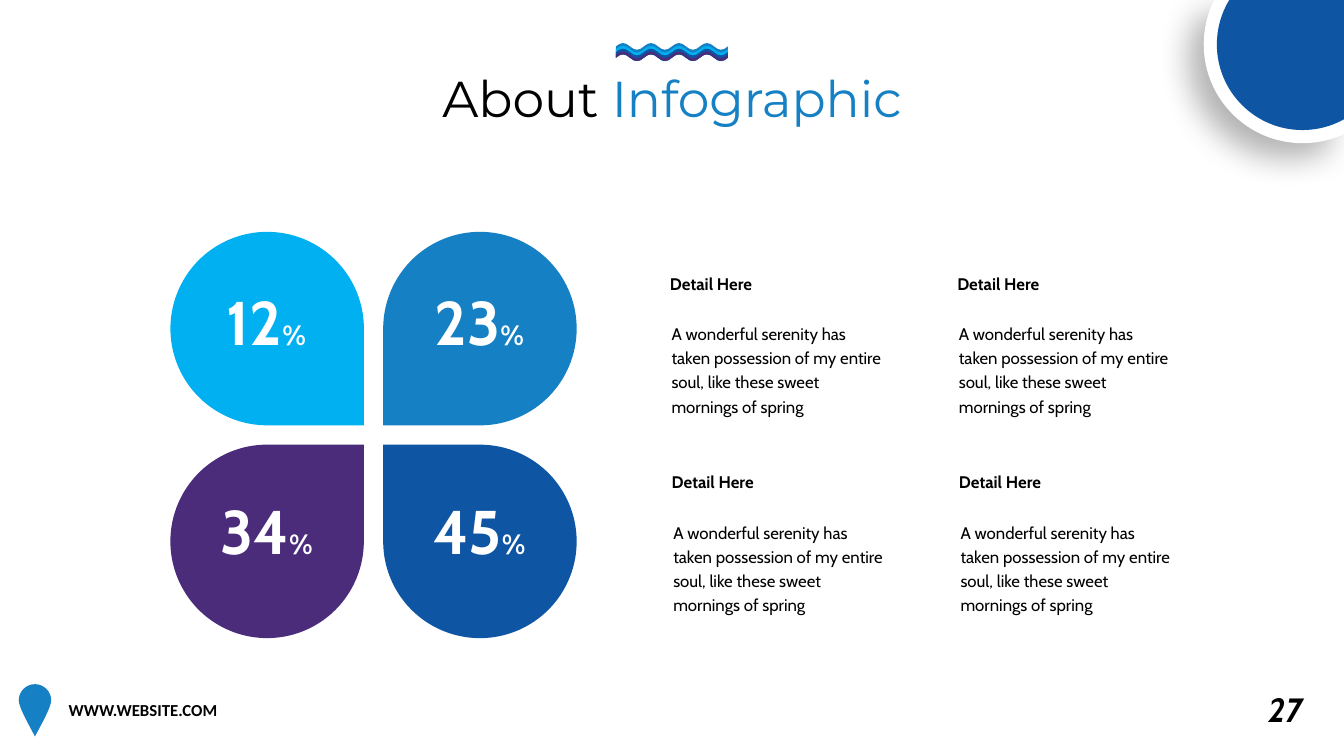
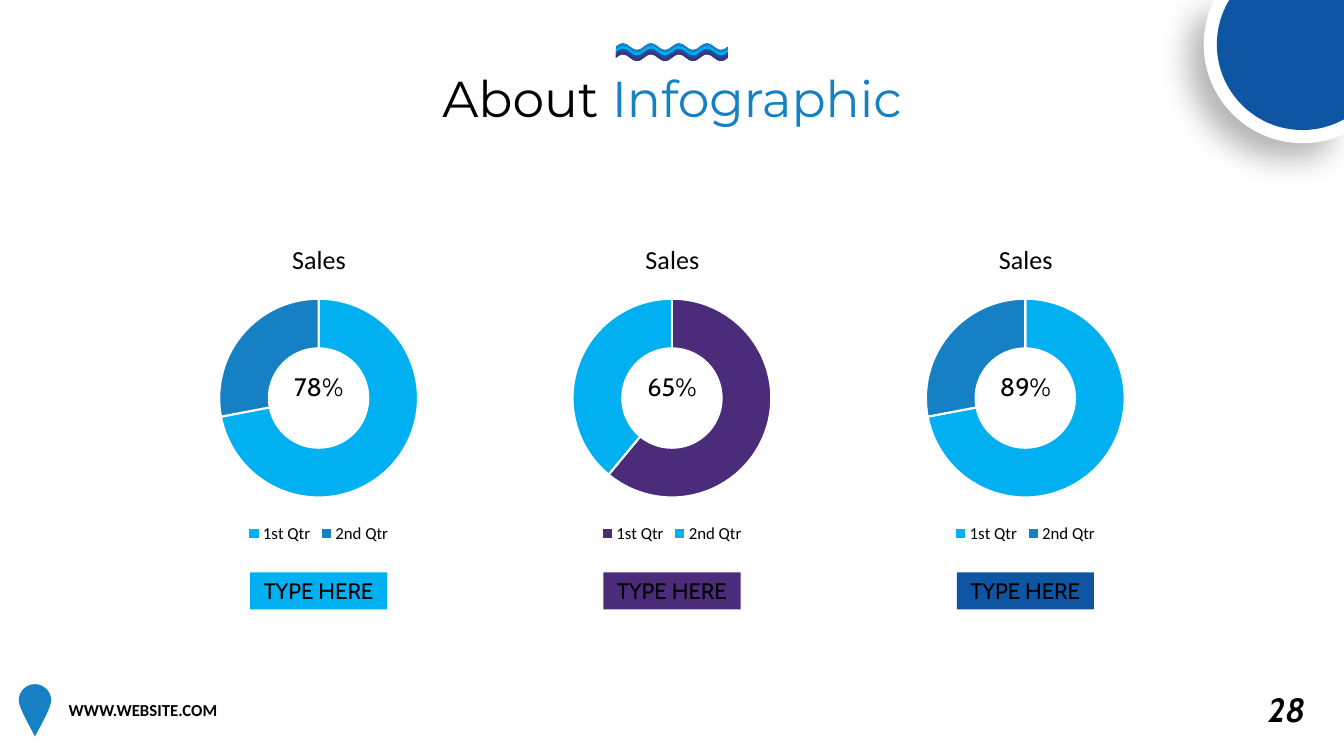
from dataclasses import dataclass
from math import acos, asin, cos, pi, sin, tan

from lxml.etree import SubElement
from pptx import Presentation
from pptx.chart.data import CategoryChartData
from pptx.dml.color import RGBColor
from pptx.enum.chart import XL_CHART_TYPE, XL_LEGEND_POSITION
from pptx.enum.shapes import MSO_SHAPE
from pptx.enum.text import MSO_ANCHOR, PP_ALIGN
from pptx.oxml import parse_xml
from pptx.oxml.ns import nsdecls, qn
from pptx.util import Pt


@dataclass(frozen=True)
class Theme:
    black: RGBColor = RGBColor.from_string("000000")
    white: RGBColor = RGBColor.from_string("FFFFFF")
    blue: RGBColor = RGBColor.from_string("1580C4")
    sky: RGBColor = RGBColor.from_string("00B0F0")
    navy: RGBColor = RGBColor.from_string("0E55A3")
    purple: RGBColor = RGBColor.from_string("4A2C7B")
    title_font: str = "Montserrat"
    body_font: str = "Cabin"
    plain_font: str = "Calibri"
    title_size: float = 36
    figure_size: float = 44
    percent_size: float = 20
    number_size: float = 24
    chart_title_size: float = 18.6
    share_size: float = 18
    label_size: float = 16
    body_size: float = 12
    chart_size: float = 10


THEME = Theme()
WIDTH, HEIGHT = 960, 540


def write(shape, text, size=THEME.body_size, color=THEME.black, font=THEME.body_font,
          bold=False, italic=False, align=PP_ALIGN.LEFT, anchor=MSO_ANCHOR.TOP,
          spacing=1.0, wrap=True):
    """Fill a shape with one paragraph; text is a string or (text, size, color) runs."""
    frame = shape.text_frame
    frame.word_wrap = wrap
    frame.vertical_anchor = anchor
    paragraph = frame.paragraphs[0]
    paragraph.alignment = align
    paragraph.line_spacing = spacing
    runs = [(text, size, color)] if isinstance(text, str) else text
    for run_text, run_size, run_color in runs:
        run = paragraph.add_run()
        run.text = run_text
        run.font.name = font
        run.font.size = Pt(run_size)
        run.font.color.rgb = run_color
        run.font.bold = bold
        run.font.italic = italic


def draw_outline(slide, start, segments, color):
    """Draw a filled outline; a segment has one point (line) or three (curve)."""
    builder = slide.shapes.build_freeform(Pt(start[0]), Pt(start[1]))
    builder.add_line_segments(
        [(Pt(x), Pt(y)) for segment in segments for x, y in segment], close=True)
    shape = builder.convert_to_shape()
    lines = iter(list(shape._element.iter(qn("a:lnTo"))))
    for segment in segments:
        first, *others = [next(lines) for point in segment]
        if others:
            first.tag = qn("a:cubicBezTo")
            for line in others:
                first.append(line[0])
                line.getparent().remove(line)
    shape.shadow.inherit = False
    shape.fill.solid()
    shape.fill.fore_color.rgb = color
    shape.line.fill.background()
    return shape


presentation = Presentation()
presentation.slide_width, presentation.slide_height = Pt(WIDTH), Pt(HEIGHT)

# Pin: round head and pointed foot, mirrored at its axis
PIN_AXIS, PIN_TOP = 25, 488.7
PIN_HALF = [(0, 0), (6.4, 0), (11.6, 5.2), (11.6, 11.6), (11.6, 17), (2.1, 33), (0, 37.4)]
right = [(PIN_AXIS + x, PIN_TOP + y) for x, y in PIN_HALF]
left = [(PIN_AXIS - x, PIN_TOP + y) for x, y in PIN_HALF[::-1]]
pin = [right[1:4], right[4:7], left[1:4], left[4:7]]

# Wave: four stacked bands that share one lower edge, one curve per half period
WAVE_LEFT, WAVE_TOP, WAVE_STEP, HALF_PERIOD, SWING = 440, 33.2, 2, 10, 3.2
wave_colors = (THEME.blue, THEME.sky, THEME.navy, THEME.purple)
wave_bottom = WAVE_TOP + len(wave_colors) * WAVE_STEP
waves = []
for band, color in enumerate(wave_colors):
    top = WAVE_TOP + band * WAVE_STEP
    upper, lower = [], []
    for half in range(8):
        x = WAVE_LEFT + half * HALF_PERIOD
        swing = SWING if half % 2 else -SWING
        x1, x2, x3 = x + 3.6, x + 6.4, x + HALF_PERIOD
        upper.append([(x1, top + swing), (x2, top + swing), (x3, top)])
        lower.insert(0, [(x2, wave_bottom + swing), (x1, wave_bottom + swing),
                         (x, wave_bottom)])
    waves.append(((WAVE_LEFT, top), upper + [[(x3, wave_bottom)]] + lower, color))

# Corner disc: arcs from the right slide edge round to the top one
DISC_X, DISC_Y = 930.4, 31.7
discs = []
for radius, color in ((70.6, THEME.white), (61.2, THEME.navy)):
    angles = [acos((WIDTH - DISC_X) / radius), pi / 2, pi, pi + asin(DISC_Y / radius)]
    arcs = []
    for begin, end in zip(angles, angles[1:]):
        reach = 4 / 3 * tan((end - begin) / 4)
        units = [(cos(begin) - reach * sin(begin), sin(begin) + reach * cos(begin)),
                 (cos(end) + reach * sin(end), sin(end) - reach * cos(end)),
                 (cos(end), sin(end))]
        arcs.append([(DISC_X + radius * x, DISC_Y + radius * y) for x, y in units])
    edge_y = DISC_Y + radius * sin(angles[0])
    discs.append(((WIDTH, 0), [[(WIDTH, edge_y)]] + arcs, color))

# Parts that both slides share
slides = []
for number in (27, 28):
    slide = presentation.slides.add_slide(presentation.slide_layouts[5])
    slides.append(slide)

    # Footer
    page = slide.shapes.add_textbox(Pt(898.8), Pt(488.9), Pt(42.5), Pt(36))
    write(page, str(number), size=THEME.number_size, bold=True, italic=True, wrap=False)
    draw_outline(slide, right[0], pin, THEME.blue)
    website = slide.shapes.add_textbox(Pt(42), Pt(496.4), Pt(182), Pt(21.8))
    write(website, "WWW.WEBSITE.COM", font=THEME.plain_font, bold=True)

    # Corner disc with a shadow below its white rim
    rim, core = [draw_outline(slide, *disc) for disc in discs]
    rim._element.spPr.find(qn("a:effectLst")).append(parse_xml(
        f'<a:outerShdw {nsdecls("a")} blurRad="{Pt(23)}" dist="{Pt(15)}" '
        'dir="8100000" algn="tr" rotWithShape="0"><a:srgbClr val="000000">'
        '<a:alpha val="29000"/></a:srgbClr></a:outerShdw>'))

    # Title
    title = slide.shapes.title
    title.left, title.top, title.width, title.height = Pt(295), Pt(44.6), Pt(370), Pt(51)
    write(title, [("About ", THEME.title_size, THEME.black),
                  ("Infographic", THEME.title_size, THEME.blue)],
          font=THEME.title_font, align=PP_ALIGN.CENTER, wrap=False)
    for wave in waves:
        draw_outline(slide, *wave)

petal_slide, chart_slide = slides

# Petals with percentages
PETAL_SIZE, PETAL_PITCH = 138.2, 152
petals = [("12", THEME.sky, 90), ("23", THEME.blue, 180),
          ("34", THEME.purple, 0), ("45", THEME.navy, 270)]
for index, (figure, color, rotation) in enumerate(petals):
    row, column = divmod(index, 2)
    left = 121.7 + column * PETAL_PITCH
    petal = petal_slide.shapes.add_shape(
        MSO_SHAPE.TEAR, Pt(left), Pt(165.6 + row * PETAL_PITCH),
        Pt(PETAL_SIZE), Pt(PETAL_SIZE))
    petal.rotation = rotation
    petal.shadow.inherit = False
    petal.fill.solid()
    petal.fill.fore_color.rgb = color
    petal.line.fill.background()
    caption = petal_slide.shapes.add_textbox(
        Pt(left + 0.6), Pt(199.4 + row * 149), Pt(136.1), Pt(60.5))
    write(caption, [(figure, THEME.figure_size, THEME.white),
                    ("%", THEME.percent_size, THEME.white)],
          bold=True, align=PP_ALIGN.CENTER)

# Details in a two by two grid; each text is set in slightly from its heading
DETAIL = ("A wonderful serenity has taken possession of my entire soul, "
          "like these sweet mornings of spring")
for column in range(2):
    for row in range(2):
        left, top = 471.5 + column * 205.2 + row * 1.2, 187.5 + row * 141.8
        detail = petal_slide.shapes.add_textbox(
            Pt(left + 1.1), Pt(top + 37.4), Pt(165), Pt(75.6))
        write(detail, DETAIL, spacing=1.2)
        heading = petal_slide.shapes.add_textbox(Pt(left), Pt(top), Pt(165), Pt(24.5))
        write(heading, "Detail Here", bold=True, spacing=1.3)

# Doughnut charts with a share and a label each
CHART_WIDTH, CHART_HEIGHT, CHART_PITCH = 242.6, 230.4, 252.4
doughnuts = [((72, 28), (THEME.sky, THEME.blue), "78%", THEME.sky),
             ((61, 39), (THEME.purple, THEME.sky), "65%", THEME.purple),
             ((72, 28), (THEME.sky, THEME.blue), "89%", THEME.navy)]
for index, (values, slice_colors, share, label_color) in enumerate(doughnuts):
    center = WIDTH / 2 + (index - 1) * CHART_PITCH
    data = CategoryChartData()
    data.categories = ["1st Qtr", "2nd Qtr"]
    data.add_series("Series 1", values)
    chart = chart_slide.shapes.add_chart(
        XL_CHART_TYPE.DOUGHNUT, Pt(center - CHART_WIDTH / 2), Pt(160.6),
        Pt(CHART_WIDTH), Pt(CHART_HEIGHT), data).chart
    chart.font.name = THEME.plain_font
    chart.font.size = Pt(THEME.chart_size)
    chart.font.color.rgb = THEME.black
    chart.has_title = True
    write(chart.chart_title, "Sales", size=THEME.chart_title_size,
          font=THEME.plain_font, align=PP_ALIGN.CENTER)
    chart.has_legend = True
    chart.legend.position = XL_LEGEND_POSITION.BOTTOM
    chart.legend.include_in_layout = False
    chart.legend.font.name = THEME.plain_font
    chart.legend.font.size = Pt(THEME.body_size)
    chart.legend.font.color.rgb = THEME.black
    plot = chart.plots[0]
    plot.vary_by_categories = True
    for position, color in enumerate(slice_colors):
        piece = plot.series[0].points[position].format
        piece.fill.solid()
        piece.fill.fore_color.rgb = color
        piece.line.color.rgb = THEME.white
        piece.line.width = Pt(1.5)

    # Hole size and fixed places for the title and the ring
    plot._element.find(qn("c:holeSize")).set("val", "75")
    places = [(chart.chart_title._element, 1, {"x": 99, "y": 8}),
              (chart._chartSpace.chart.plotArea, 0,
               {"x": 50.3, "y": 52.8, "w": 142, "h": 142})]
    for parent, slot, place in places:
        for old_layout in parent.findall(qn("c:layout")):
            parent.remove(old_layout)
        layout = parse_xml(f'<c:layout {nsdecls("c")}><c:manualLayout/></c:layout>')
        manual = layout[0]
        if "w" in place:
            SubElement(manual, qn("c:layoutTarget")).set("val", "inner")
        for axis in "xy":
            SubElement(manual, qn(f"c:{axis}Mode")).set("val", "edge")
        for key, length in place.items():
            full = CHART_WIDTH if key in "xw" else CHART_HEIGHT
            SubElement(manual, qn(f"c:{key}")).set("val", str(length / full))
        parent.insert(slot, layout)

    # Label below
    label = chart_slide.shapes.add_shape(
        MSO_SHAPE.RECTANGLE, Pt(center - 49), Pt(408.8), Pt(98), Pt(26.6))
    label.shadow.inherit = False
    label.fill.solid()
    label.fill.fore_color.rgb = label_color
    label.line.fill.background()
    write(label, "TYPE HERE", size=THEME.label_size, align=PP_ALIGN.CENTER,
          anchor=MSO_ANCHOR.MIDDLE, wrap=False)

    # Share in the hole
    share_box = chart_slide.shapes.add_textbox(Pt(center - 42.5), Pt(261.7), Pt(85), Pt(29))
    write(share_box, share, size=THEME.share_size, align=PP_ALIGN.CENTER)

presentation.save("out.pptx")
